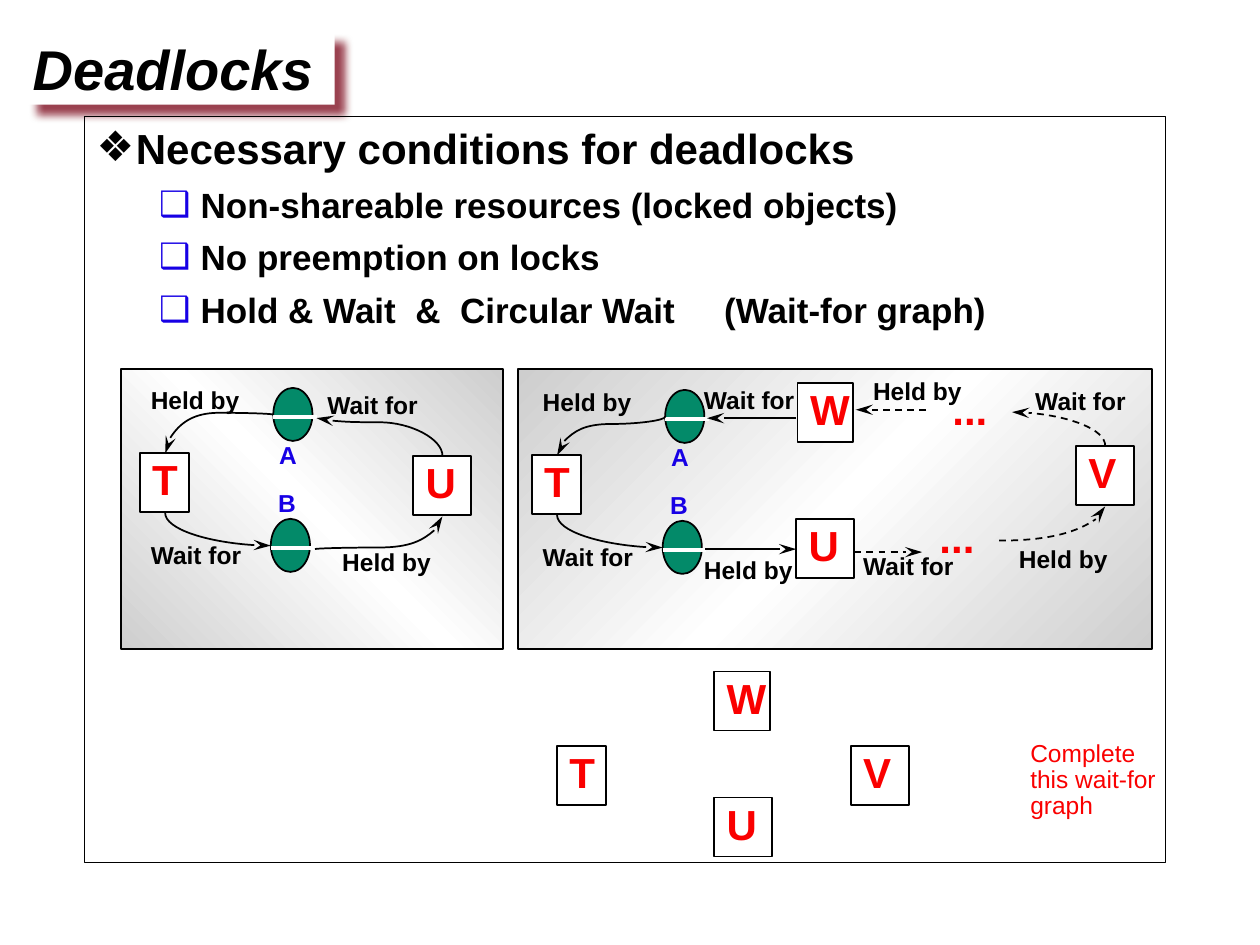
from dataclasses import dataclass
from typing import Optional

import lxml.etree
import pptx
import pptx.dml.color
import pptx.enum.dml
import pptx.enum.shapes
import pptx.enum.text
import pptx.oxml.ns
import pptx.util

Cm = pptx.util.Cm
Pt = pptx.util.Pt
RGBColor = pptx.dml.color.RGBColor
qn = pptx.oxml.ns.qn
Shapes = pptx.enum.shapes.MSO_SHAPE
Connectors = pptx.enum.shapes.MSO_CONNECTOR

BLACK = RGBColor(0x00, 0x00, 0x00)
WHITE = RGBColor(0xFF, 0xFF, 0xFF)
GREY = RGBColor(0xCE, 0xCE, 0xCE)
RED = RGBColor(0xFA, 0x00, 0x00)
BLUE = RGBColor(0x17, 0x00, 0xE5)
GREEN = RGBColor(0x03, 0x8A, 0x69)
MAROON = RGBColor(0x79, 0x00, 0x15)

NODE_WIDTHS = {"T": 0.99, "U": 1.17, "V": 1.17, "W": 1.12}


@dataclass
class Label:
    """Text at a place, in centimetres."""
    text: str
    left: float
    top: float


@dataclass
class Arrow:
    """Arrow between two points; a bend leaves the start upright or sideways."""
    start: tuple[float, float]
    end: tuple[float, float]
    bend: str = "straight"
    adjust: Optional[float] = None
    dashed: bool = False


def add_element(parent, tag: str, **attributes):
    """Append an XML element with attributes and return it."""
    values = {name: str(value) for name, value in attributes.items()}
    return lxml.etree.SubElement(parent, qn(tag), values)


def write_text(para, text: str, *, size: int, color: RGBColor = BLACK, bold: bool = True,
               italic: bool = False, spacing: Optional[float] = None, before: int = 0) -> None:
    """Write formatted text into a paragraph; before is a percentage."""
    span = para.add_run()
    span.text = text
    span.font.name = "Arial"
    span.font.size = Pt(size)
    span.font.bold, span.font.italic = bold, italic
    span.font.color.rgb = color
    para.alignment = pptx.enum.text.PP_ALIGN.LEFT
    if spacing:
        para.line_spacing = spacing
    if before:
        para.space_before = Pt(1)
        space = para._p.get_or_add_pPr().find(qn("a:spcBef"))
        space.remove(space[0])
        add_element(space, "a:spcPct", val=before * 1000)


def add_box(page, left: float, top: float, width: float, height: float, *, kind=Shapes.RECTANGLE,
            fill: Optional[RGBColor] = WHITE, line: Optional[float] = 1):
    """Draw a preset shape with text at its top left."""
    box = page.shapes.add_shape(kind, Cm(left), Cm(top), Cm(width), Cm(height))
    box.shadow.inherit = False
    if fill is None:
        box.fill.background()
    else:
        box.fill.solid()
        box.fill.fore_color.rgb = fill
    if line is None:
        box.line.fill.background()
    else:
        box.line.color.rgb = BLACK
        box.line.width = Pt(line)
    box.text_frame.word_wrap = True
    box.text_frame.vertical_anchor = pptx.enum.text.MSO_ANCHOR.TOP
    return box


def add_panel(page, left: float, width: float, angle: int) -> None:
    """Draw a panel shaded from grey to white and back."""
    box = add_box(page, left, 7.44, width, 5.64)
    box.fill.gradient()
    box.fill.gradient_angle = angle
    stops = box._element.spPr.find(qn("a:gradFill")).find(qn("a:gsLst"))
    for stop in list(stops):
        stops.remove(stop)
    for position, color in ((0, GREY), (50, WHITE), (100, GREY)):
        add_element(add_element(stops, "a:gs", pos=position * 1000), "a:srgbClr", val=color)


def add_title(page) -> None:
    """Draw the title with its maroon shadow."""
    box = add_box(page, 0.53, 0.64, 6.22, 1.47, line=None)
    frame = box.text_frame
    frame.margin_left = frame.margin_right = Cm(0.13)
    frame.margin_top = frame.margin_bottom = Cm(0.05)
    write_text(frame.paragraphs[0], "Deadlocks", size=32, italic=True)
    effects = box._element.spPr.find(qn("a:effectLst"))
    shadow = add_element(effects, "a:outerShdw", blurRad=Pt(5), dist=Pt(8.5),
                         dir=45 * 60000, algn="ctr", rotWithShape=0)
    add_element(add_element(shadow, "a:srgbClr", val=MAROON), "a:alpha", val=75000)


def add_conditions(page) -> None:
    """Draw the frame with the bulleted conditions."""
    frame = add_box(page, 1.7, 2.34, 21.79, 15.04, fill=None, line=0.25).text_frame
    lines = ("Necessary conditions for deadlocks", " Non-shareable resources (locked objects)",
             " No preemption on locks", " Hold & Wait  &  Circular Wait\t(Wait-for graph)")
    for index, text in enumerate(lines):
        para = frame.add_paragraph() if index else frame.paragraphs[0]
        write_text(para, text, size=20 if index else 24, before=30)
        para.level = 1 if index else 0
        margin, hanging = (1.9, 0.64) if index else (0.79, 0.79)
        properties = para._p.get_or_add_pPr()
        properties.set("marL", str(Cm(margin)))
        properties.set("indent", str(-Cm(hanging)))
        add_element(add_element(properties, "a:buClr"), "a:srgbClr", val=BLUE if index else BLACK)
        add_element(properties, "a:buFont", typeface="Arial")
        add_element(properties, "a:buChar", char="\u2751" if index else "\u2756")
        if "\t" in text:
            add_element(add_element(properties, "a:tabLst"), "a:tab", pos=Cm(12.65), algn="l")


def add_label(page, label: Label, *, width: float = 2.57, height: float = 0.79,
              size: int = 14, color: RGBColor = BLACK) -> None:
    """Write one label without a frame."""
    box = page.shapes.add_textbox(Cm(label.left), Cm(label.top), Cm(width), Cm(height))
    box.text_frame.word_wrap = True
    write_text(box.text_frame.paragraphs[0], label.text, size=size, color=color, spacing=0.9, before=50)


def add_node(page, node: Label) -> None:
    """Draw a process box with its red letter."""
    box = add_box(page, node.left, node.top, NODE_WIDTHS[node.text], 1.19)
    write_text(box.text_frame.paragraphs[0], node.text, size=24, color=RED, spacing=0.9, before=50)


def add_line(page, start, end, *, kind=Connectors.STRAIGHT, color=BLACK, width: float = 1):
    """Draw a connector without a shadow."""
    line = page.shapes.add_connector(kind, Cm(start[0]), Cm(start[1]), Cm(end[0]), Cm(end[1]))
    line.line.color.rgb = color
    line.line.width = Pt(width)
    add_element(line._element.spPr, "a:effectLst")
    return line


def add_arrow(page, arrow: Arrow) -> None:
    """Draw a straight or curved arrow with a stealth head."""
    (x1, y1), (x2, y2) = start, end = arrow.start, arrow.end
    turn = 0
    if arrow.bend == "upright":
        turn = 90 if y2 > y1 else 270
        side = 1 if turn == 90 else -1
        middle_x, middle_y = (x1 + x2) / 2, (y1 + y2) / 2
        half_width, half_height = abs(y2 - y1) / 2, side * (x1 - x2) / 2
        start = (middle_x - half_width, middle_y - half_height)
        end = (middle_x + half_width, middle_y + half_height)
    kind = Connectors.STRAIGHT if arrow.bend == "straight" else Connectors.CURVE
    line = add_line(page, start, end, kind=kind)
    properties = line._element.spPr
    if turn:
        properties.find(qn("a:xfrm")).set("rot", str(turn * 60000))
    if arrow.bend != "straight":
        geometry = properties.find(qn("a:prstGeom"))
        if arrow.adjust is None:
            geometry.set("prst", "curvedConnector2")
        else:
            add_element(geometry.find(qn("a:avLst")), "a:gd", name="adj1",
                        fmla=f"val {round(arrow.adjust * 100000)}")
    if arrow.dashed:
        line.line.dash_style = pptx.enum.dml.MSO_LINE.DASH
    add_element(properties.find(qn("a:ln")), "a:tailEnd", type="stealth", w="med", len="lg")


def add_lock_loop(page, dx: float, dy: float, adjust: float) -> None:
    """Draw process T with locks A and B, moved by dx and dy."""
    add_node(page, Label("T", 2.82 + dx, 9.14 + dy))
    for left, top in ((5.46, 10.46), (5.51, 7.82)):
        x, y = left + dx, top + dy
        add_box(page, x, y, 0.79, 1.07, kind=Shapes.OVAL, fill=GREEN)
        add_line(page, (x, y + 0.58), (x + 0.88, y + 0.58), color=WHITE, width=2.25)
    add_arrow(page, Arrow((3.33 + dx, 10.34 + dy), (5.46 + dx, 11 + dy), "upright"))
    add_arrow(page, Arrow((5.51 + dx, 8.36 + dy), (3.33 + dx, 9.14 + dy), "upright", adjust))
    for text, left, top in (("Held by", 2.79, 7.7), ("Wait for", 2.79, 10.82)):
        add_label(page, Label(text, left + dx, top + dy))
    for text, left, top in (("A", 5.38, 8.81), ("B", 5.36, 9.78)):
        add_label(page, Label(text, left + dx, top + dy), width=0.97, color=BLUE)


NODES = [Label("U", 8.33, 9.19), Label("U", 16.05, 10.46), Label("V", 21.69, 8.99),
         Label("W", 16.08, 7.72), Label("T", 11.23, 15.04), Label("W", 14.4, 13.54),
         Label("U", 14.4, 16.08), Label("V", 17.15, 15.04)]
ARROWS = [Arrow((8.92, 9.19), (6.38, 8.43), "upright", 0.89),
          Arrow((6.35, 11.07), (8.92, 10.41), "upright", 0.05),
          Arrow((14.22, 11.07), (16.05, 11.07)), Arrow((16.05, 8.43), (14.25, 8.43)),
          Arrow((17.22, 11.13), (18.59, 11.13), dashed=True),
          Arrow((18.67, 8.26), (17.25, 8.26), dashed=True),
          Arrow((20.14, 10.9), (22.28, 10.21), "sideways", dashed=True),
          Arrow((22.28, 8.99), (20.4, 8.31), "upright", dashed=True)]
LABELS = [Label("Wait for", 6.35, 7.8), Label("Held by", 6.65, 10.97), Label("Wait for", 13.94, 7.7),
          Label("Held by", 13.94, 11.13), Label("Wait for", 17.15, 11.05), Label("Wait for", 20.62, 7.72),
          Label("Held by", 17.35, 7.52), Label("Held by", 20.29, 10.9)]
DOTS = [Label("...", 18.69, 10.31), Label("...", 18.95, 7.72)]


def main() -> None:
    """Build the slide and save it."""
    deck = pptx.Presentation()
    deck.slide_width, deck.slide_height = Cm(25.4), Cm(19.05)
    page = deck.slides.add_slide(deck.slide_layouts[6])
    add_panel(page, 10.44, 12.78, 315)
    add_panel(page, 2.44, 7.7, 45)
    add_title(page)
    add_conditions(page)
    add_lock_loop(page, 0, 0, -0.05)
    add_lock_loop(page, 7.9, 0.04, 0.19)
    for node in NODES:
        add_node(page, node)
    for arrow in ARROWS:
        add_arrow(page, arrow)
    for label in LABELS:
        add_label(page, label)
    for dots in DOTS:
        add_label(page, dots, width=1.45, height=1.17, size=24, color=RED)
    note = page.shapes.add_textbox(Cm(20.52), Cm(14.81), Cm(3.07), Cm(1.88)).text_frame
    note.word_wrap = False
    for index, text in enumerate(("Complete", "this wait-for", "graph")):
        para = note.add_paragraph() if index else note.paragraphs[0]
        write_text(para, text, size=14, color=RED, bold=False, spacing=0.9)
    deck.save("out.pptx")


main()
